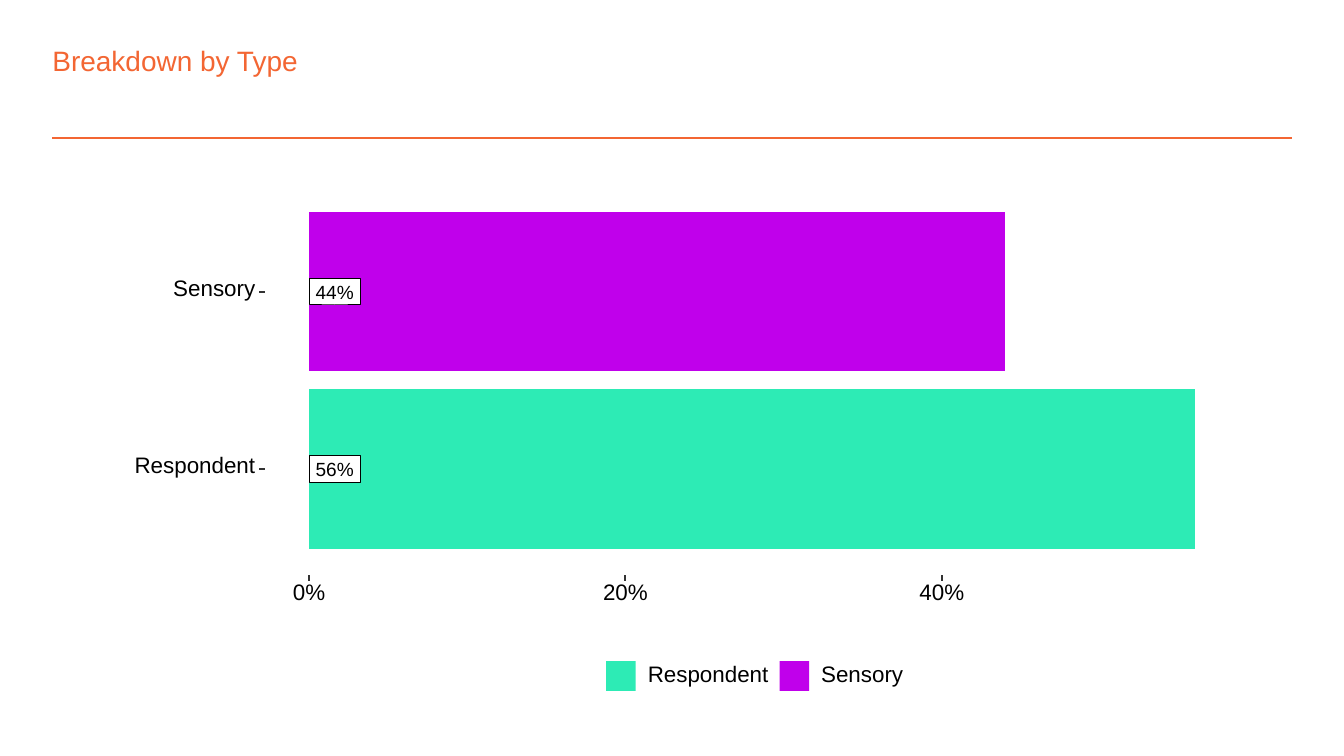
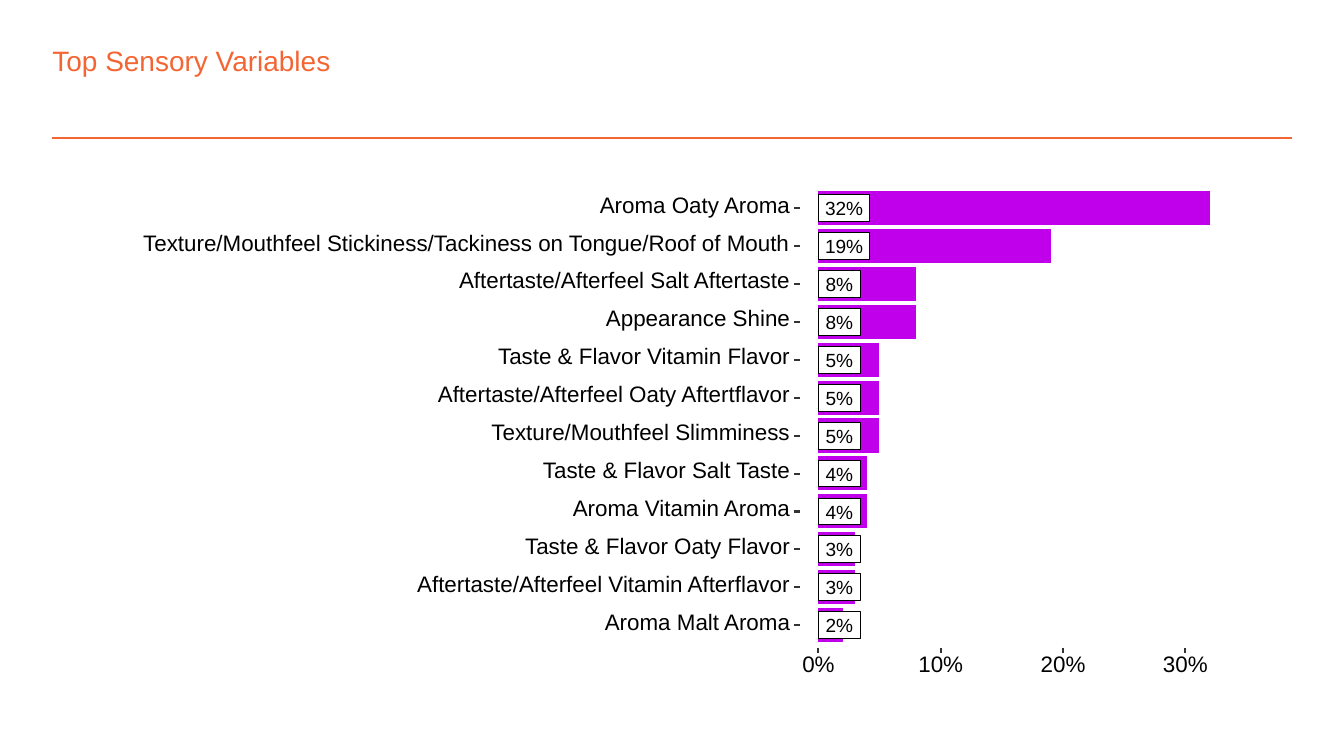
import lxml.etree
import pptx
import pptx.chart.data
import pptx.dml.color
import pptx.enum.chart
import pptx.enum.shapes
import pptx.enum.text
import pptx.oxml
import pptx.oxml.ns
import pptx.util

Inches = pptx.util.Inches
Pt = pptx.util.Pt


class Theme:
    font = "Arial"
    orange = pptx.dml.color.RGBColor.from_string("F36633")
    black = pptx.dml.color.RGBColor.from_string("000000")
    white = pptx.dml.color.RGBColor.from_string("FFFFFF")
    tick = pptx.dml.color.RGBColor.from_string("333333")
    purple = pptx.dml.color.RGBColor.from_string("C000EB")
    mint = pptx.dml.color.RGBColor.from_string("2DEBB5")
    title_size = Pt(15)
    axis_size = Pt(12)
    value_size = Pt(10.2)


CHART = 'xmlns:c="http://schemas.openxmlformats.org/drawingml/2006/chart"'
FRAME_LEFT, FRAME_TOP, FRAME_WIDTH, FRAME_HEIGHT = 0.75, 1.3, 8.5, 4

charts = [
    {
        "title": "Breakdown by Type",
        "series": "Type",
        "rows": [("Sensory", 44, Theme.purple), ("Respondent", 56, Theme.mint)],
        "zero": 2.3, "inches_per_percent": 0.1177,
        "first_row": 2.17, "row_pitch": 1.32,
        "label_right": 1.9, "axis_top": 4.28, "ticks": [0, 20, 40],
        "legend": [("Respondent", 4.51, Theme.mint), ("Sensory", 5.8, Theme.purple)],
    },
    {
        "title": "Top Sensory Variables",
        "series": "Sensory",
        "rows": [
            ("Aroma Oaty Aroma", 32, Theme.purple),
            ("Texture/Mouthfeel Stickiness/Tackiness on Tongue/Roof of Mouth", 19, Theme.purple),
            ("Aftertaste/Afterfeel Salt Aftertaste", 8, Theme.purple),
            ("Appearance Shine", 8, Theme.purple),
            ("Taste & Flavor Vitamin Flavor", 5, Theme.purple),
            ("Aftertaste/Afterfeel Oaty Aftertflavor", 5, Theme.purple),
            ("Texture/Mouthfeel Slimminess", 5, Theme.purple),
            ("Taste & Flavor Salt Taste", 4, Theme.purple),
            ("Aroma Vitamin Aroma", 4, Theme.purple),
            ("Taste & Flavor Oaty Flavor", 3, Theme.purple),
            ("Aftertaste/Afterfeel Vitamin Afterflavor", 3, Theme.purple),
            ("Aroma Malt Aroma", 2, Theme.purple),
        ],
        "zero": 6.09, "inches_per_percent": 0.091,
        "first_row": 1.55, "row_pitch": 0.282,
        "label_right": 5.88, "axis_top": 4.82, "ticks": [0, 10, 20, 30],
        "legend": [],
    },
]


def write(shape, text, size=Theme.axis_size, color=Theme.black, align="LEFT", anchor="MIDDLE"):
    frame = shape.text_frame
    frame.margin_left = frame.margin_right = frame.margin_top = frame.margin_bottom = 0
    frame.word_wrap = True
    frame.vertical_anchor = getattr(pptx.enum.text.MSO_ANCHOR, anchor)
    para = frame.paragraphs[0]
    para.alignment = getattr(pptx.enum.text.PP_ALIGN, align)
    span = para.add_run()
    span.text = text
    span.font.name = Theme.font
    span.font.size = size
    span.font.color.rgb = color


def draw_line(page, start, end, color, width):
    line = page.shapes.add_connector(
        pptx.enum.shapes.MSO_CONNECTOR.STRAIGHT, *map(Inches, start + end))
    line.line.color.rgb = color
    line.line.width = Pt(width)
    lxml.etree.SubElement(line._element.spPr, pptx.oxml.ns.qn("a:effectLst"))


deck = pptx.Presentation()
deck.slide_width, deck.slide_height = Inches(10), Inches(10 * 9 / 16)
title_only = deck.slide_layouts[5]

for plan in charts:
    page = deck.slides.add_slide(title_only)
    title = page.shapes.title
    title.left, title.top, title.width, title.height = map(Inches, (0.39, 0.32, 8.29, 0.25))
    write(title, plan["title"], size=Theme.title_size, color=Theme.orange, anchor="TOP")
    draw_line(page, (0.39, 1.03), (9.61, 1.03), Theme.orange, 1)

    rows, zero, scale = plan["rows"], plan["zero"], plan["inches_per_percent"]
    longest = max(percent for name, percent, color in rows)
    data = pptx.chart.data.CategoryChartData(number_format="0%")
    data.categories = [name for name, percent, color in rows]
    data.add_series(plan["series"], [percent / 100 for name, percent, color in rows])
    chart = page.shapes.add_chart(
        pptx.enum.chart.XL_CHART_TYPE.BAR_CLUSTERED,
        *map(Inches, (FRAME_LEFT, FRAME_TOP, FRAME_WIDTH, FRAME_HEIGHT)), data).chart
    chart.has_title = False
    chart.has_legend = False
    chart.font.name = Theme.font
    chart.font.size = Theme.axis_size
    chart.font.color.rgb = Theme.black
    chart.category_axis.reverse_order = True
    chart.category_axis.visible = False
    chart.value_axis.minimum_scale = 0
    chart.value_axis.maximum_scale = longest / 100
    chart.value_axis.has_major_gridlines = False
    chart.value_axis.visible = False
    plot = chart.plots[0]
    plot.vary_by_categories = False
    plot.gap_width = 11
    for index, (name, percent, color) in enumerate(rows):
        fill = plot.series[0].points[index].format.fill
        fill.solid()
        fill.fore_color.rgb = color

    plot_area = chart._chartSpace.chart.plotArea
    for old in plot_area.findall(pptx.oxml.ns.qn("c:layout")):
        plot_area.remove(old)
    plot_top = plan["first_row"] - plan["row_pitch"] / 2
    plot_area.insert(0, pptx.oxml.parse_xml(
        f'<c:layout {CHART}><c:manualLayout><c:layoutTarget val="inner"/>'
        '<c:xMode val="edge"/><c:yMode val="edge"/>'
        f'<c:x val="{(zero - FRAME_LEFT) / FRAME_WIDTH:.4f}"/>'
        f'<c:y val="{(plot_top - FRAME_TOP) / FRAME_HEIGHT:.4f}"/>'
        f'<c:w val="{longest * scale / FRAME_WIDTH:.4f}"/>'
        f'<c:h val="{len(rows) * plan["row_pitch"] / FRAME_HEIGHT:.4f}"/>'
        '</c:manualLayout></c:layout>'))

    right = plan["label_right"]
    for index, (name, percent, color) in enumerate(rows):
        middle = plan["first_row"] + index * plan["row_pitch"]
        tag = page.shapes.add_shape(
            pptx.enum.shapes.MSO_SHAPE.RECTANGLE,
            *map(Inches, (zero, middle - 0.1, 0.38 if percent >= 10 else 0.31, 0.2)))
        tag.shadow.inherit = False
        tag.fill.solid()
        tag.fill.fore_color.rgb = Theme.white
        tag.line.color.rgb = Theme.black
        tag.line.width = Pt(0.53)
        write(tag, f"{percent}%", size=Theme.value_size, align="CENTER")
        box = page.shapes.add_textbox(
            *map(Inches, (FRAME_LEFT, middle - 0.13, right - FRAME_LEFT, 0.2)))
        write(box, name, align="RIGHT")
        draw_line(page, (right + 0.03, middle), (right + 0.07, middle), Theme.tick, 1.07)

    axis_top = plan["axis_top"]
    for percent in plan["ticks"]:
        center = zero + percent * scale
        draw_line(page, (center, axis_top), (center, axis_top + 0.04), Theme.tick, 1.07)
        box = page.shapes.add_textbox(*map(Inches, (center - 0.17, axis_top + 0.02, 0.34, 0.2)))
        write(box, f"{percent}%", align="CENTER")

    for name, left, color in plan["legend"]:
        key = page.shapes.add_shape(
            pptx.enum.shapes.MSO_SHAPE.RECTANGLE, *map(Inches, (left, 4.92, 0.22, 0.22)))
        key.shadow.inherit = False
        key.fill.solid()
        key.fill.fore_color.rgb = color
        key.line.fill.background()
        box = page.shapes.add_textbox(*map(Inches, (left + 0.31, 4.91, 0.95, 0.2)))
        write(box, name)

deck.save("out.pptx")
